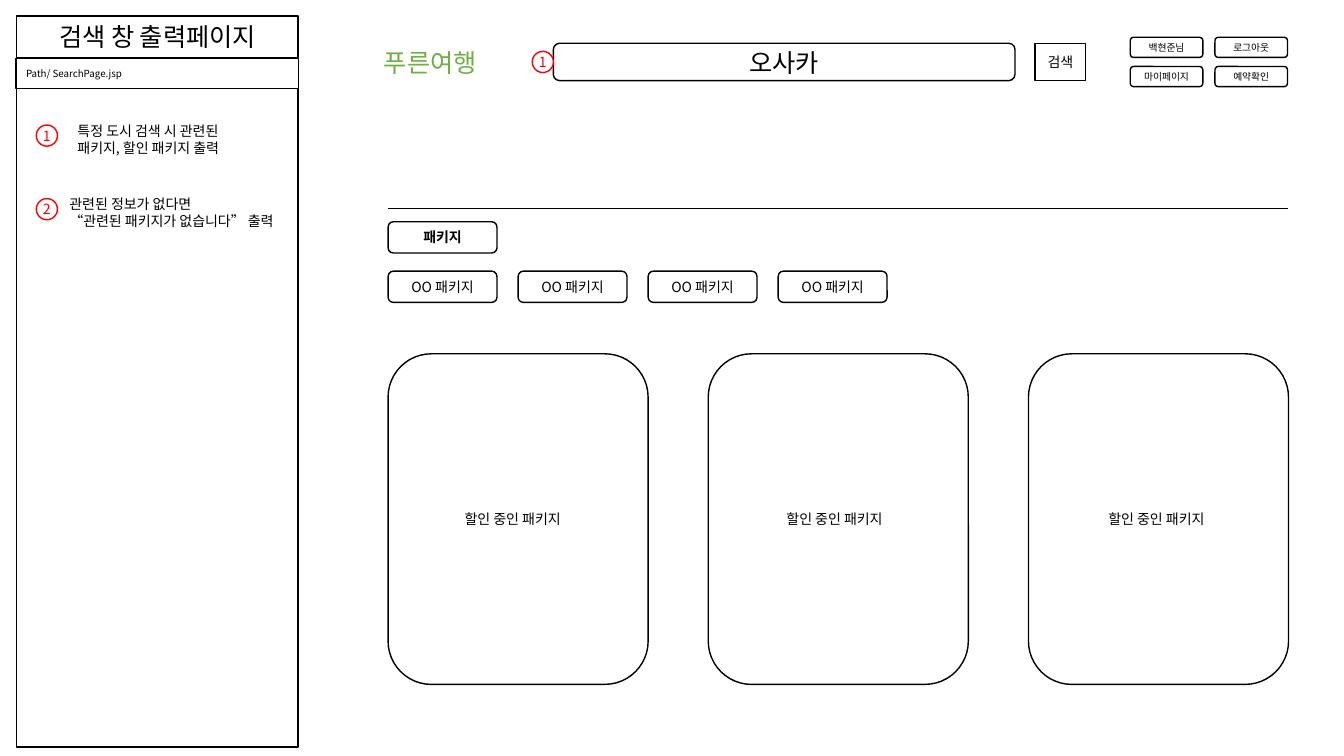
from lxml import etree
from pptx import Presentation
from pptx.dml.color import RGBColor
from pptx.enum.shapes import MSO_CONNECTOR, MSO_SHAPE
from pptx.enum.text import MSO_ANCHOR, PP_ALIGN
from pptx.oxml.ns import qn
from pptx.util import Inches, Pt

RECT, ROUND, OVAL = MSO_SHAPE.RECTANGLE, MSO_SHAPE.ROUNDED_RECTANGLE, MSO_SHAPE.OVAL
STRAIGHT = MSO_CONNECTOR.STRAIGHT
LEFT, CENTER = PP_ALIGN.LEFT, PP_ALIGN.CENTER
TOP, MIDDLE = MSO_ANCHOR.TOP, MSO_ANCHOR.MIDDLE

FONT = "Noto Sans CJK KR"
COLORS = {"ink": "000000", "paper": "FFFFFF", "marker": "FF0000", "brand": "70AD47"}

# Grid of 40 columns and 30 rows
WIDTH, HEIGHT = Inches(13.33), Inches(7.5)
COLUMN, ROW = WIDTH / 40, HEIGHT / 30
CONTENT_LEFT, CONTENT_RIGHT = 11.55, 38.34


def color(name):
    return RGBColor.from_string(COLORS[name])


def place(left, top, width, height):
    return (round(left * COLUMN), round(top * ROW),
            round(width * COLUMN), round(height * ROW))


def write(shape, text, size, ink="ink", align=LEFT, anchor=TOP, bold=False):
    frame = shape.text_frame
    frame.text = text
    frame.word_wrap = align == LEFT
    frame.vertical_anchor = anchor
    for paragraph in frame.paragraphs:
        paragraph.alignment = align
        for run in paragraph.runs:
            run.font.name = FONT
            run.font.size = Pt(size)
            run.font.bold = bold
            run.font.color.rgb = color(ink)
            east_asian = etree.SubElement(run.font._element, qn("a:ea"))
            east_asian.set("typeface", FONT)


def add_box(slide, kind, area, text="", size=10, ink="ink", line="ink",
            align=CENTER, bold=False):
    box = slide.shapes.add_shape(kind, *place(*area))
    box.shadow.inherit = False
    box.fill.solid()
    box.fill.fore_color.rgb = color("paper")
    box.line.color.rgb = color(line)
    box.line.width = Pt(1)
    if text:
        write(box, text, size, ink, align, MIDDLE, bold)


def add_label(slide, area, text, size=10, ink="ink"):
    label = slide.shapes.add_textbox(*place(*area))
    write(label, text, size, ink)


def add_marker(slide, left, top, number):
    add_box(slide, OVAL, (left, top, 0.63, 0.84), number, ink="marker", line="marker")


def add_divider(slide, row):
    y = round(row * ROW)
    divider = slide.shapes.add_connector(
        STRAIGHT, round(CONTENT_LEFT * COLUMN), y, round(CONTENT_RIGHT * COLUMN), y)
    divider.line.color.rgb = color("ink")
    divider.line.width = Pt(1)
    etree.SubElement(divider._element.spPr, qn("a:effectLst"))


def add_sidebar(slide):
    add_box(slide, RECT, (0.5, 3.44, 8.37, 26.2))
    add_box(slide, RECT, (0.5, 0.64, 8.37, 1.64), "검색 창 출력페이지", 18)
    add_box(slide, RECT, (0.48, 2.32, 8.4, 1.2), "Path/ SearchPage.jsp", 7, align=LEFT)
    add_marker(slide, 1.08, 4.96, "1")
    add_label(slide, (2.01, 4.68, 5.37, 1.76), "특정 도시 검색 시 관련된 패키지, 할인 패키지 출력")
    add_marker(slide, 1.08, 7.88, "2")
    add_label(slide, (1.77, 7.56, 7.65, 1.76),
              "관련된 정보가 없다면\n“관련된 패키지가 없습니다” 출력")


def add_header(slide):
    add_label(slide, (11.13, 1.68, 3.69, 1.6), "푸른여행", 18, "brand")
    add_box(slide, ROUND, (16.47, 1.72, 13.74, 1.48), "오사카", 18)
    add_marker(slide, 15.84, 2.04, "1")
    add_box(slide, RECT, (30.81, 1.72, 1.5, 1.48), "검색")
    # Account buttons, two by two
    account = ["백현준님", "로그아웃", "마이페이지", "예약확인"]
    for index, caption in enumerate(account):
        row, column = divmod(index, 2)
        add_box(slide, ROUND, (33.64 + 2.52 * column, 1.48 + 1.16 * row, 2.16, 0.8),
                caption, 7)


def add_packages(slide):
    # Heading and filter buttons
    add_box(slide, ROUND, (CONTENT_LEFT, 8.8, 3.24, 1.24), "패키지", bold=True)
    for index in range(4):
        add_box(slide, ROUND, (CONTENT_LEFT + 3.87 * index, 10.76, 3.24, 1.24), "OO 패키지")
    # Discount cards with their captions
    for index in range(3):
        add_box(slide, ROUND, (CONTENT_LEFT + 9.53 * index, 14.04, 7.74, 13.12))
        add_label(slide, (13.53 + 9.58 * index, 20.08, 5.31, 1.08), "할인 중인 패키지")


def main():
    deck = Presentation()
    deck.slide_width, deck.slide_height = WIDTH, HEIGHT
    slide = deck.slides.add_slide(deck.slide_layouts[6])
    add_sidebar(slide)
    add_header(slide)
    add_divider(slide, 8.28)
    add_packages(slide)
    deck.save("out.pptx")


if __name__ == "__main__":
    main()
